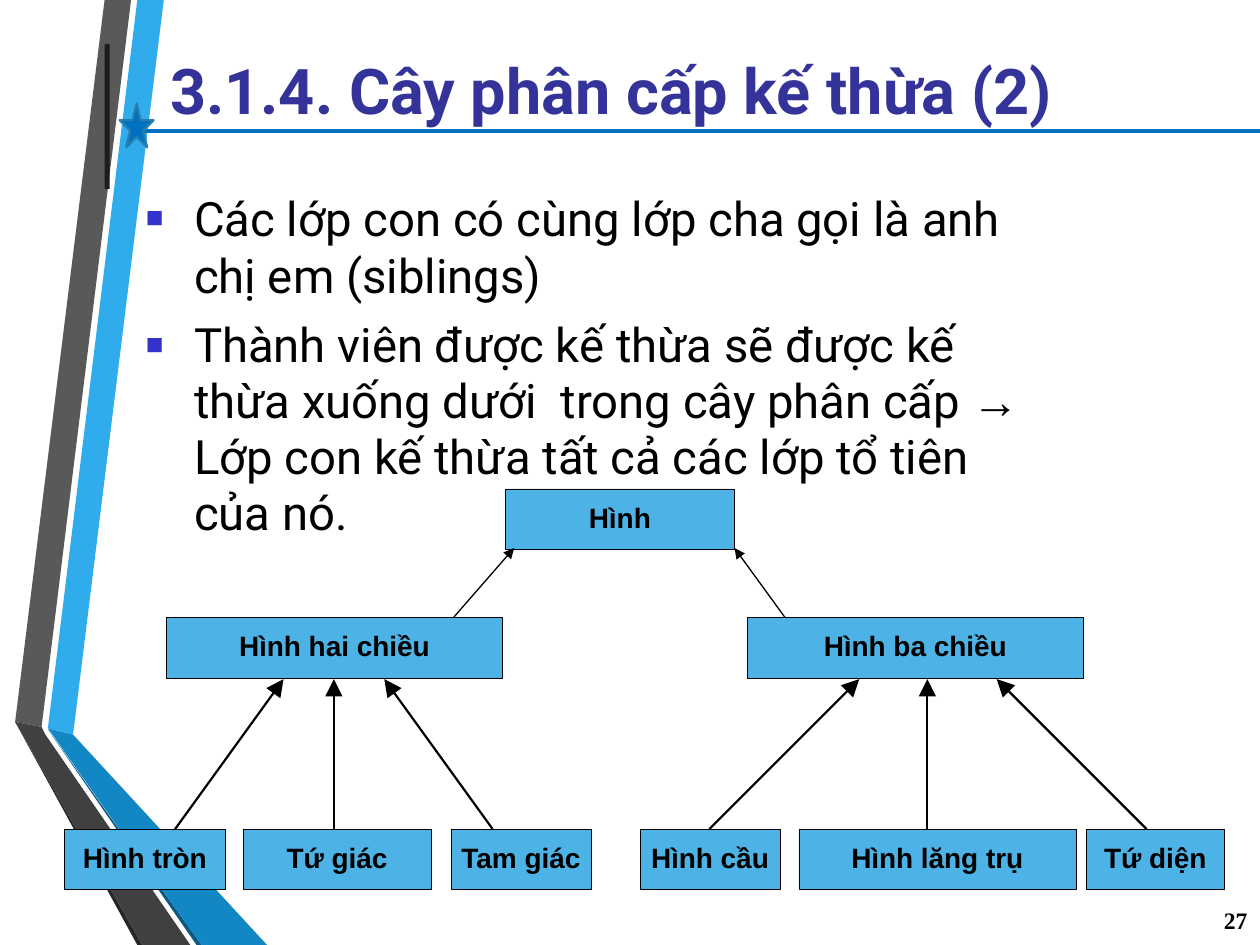
from lxml import etree
from pptx import Presentation
from pptx.dml.color import RGBColor
from pptx.enum.shapes import MSO_CONNECTOR, MSO_SHAPE
from pptx.enum.text import MSO_ANCHOR, PP_ALIGN
from pptx.oxml.ns import qn
from pptx.util import Inches, Pt

COLORS = {
    "blue": "30ACEC", "gray": "595959", "shadow_gray": "262626",
    "shadow_blue": "0C5A82", "dark_blue": "1287C3", "dark_gray": "404040",
    "accent": "0070C0", "star_edge": "247FAF", "bar": "1C1C1C",
    "title": "333399", "bullet": "3333CC", "box": "4DB3E6", "black": "000000",
}


def style_font(font, name, size, color, bold=False):
    font.name, font.size, font.bold = name, Pt(size), bold
    font.color.rgb = RGBColor.from_string(COLORS[color])


def add_line(start, end, color, width):
    line = slide.shapes.add_connector(
        MSO_CONNECTOR.STRAIGHT, *[Inches(value) for value in start + end])
    line.line.color.rgb = RGBColor.from_string(COLORS[color])
    line.line.width = Pt(width)
    etree.SubElement(line._element.spPr, qn("a:effectLst"))
    return line


presentation = Presentation()
presentation.slide_width, presentation.slide_height = Inches(10), Inches(7.5)
slide = presentation.slides.add_slide(presentation.slide_layouts[5])

ribbons = [
    ("blue", [(0.38, 5.78), (0.58, 5.83), (1.3, 0), (1.09, 0)]),
    ("gray", [(1.04, 0), (0.83, 0), (0.12, 5.73), (0.33, 5.77)]),
    ("shadow_gray", [(0.12, 5.73), (1.09, 7.5), (1.13, 7.5)]),
    ("shadow_blue", [(0.38, 5.79), (1.56, 7.5), (1.6, 7.5)]),
    ("dark_blue", [(0.38, 5.78), (1.6, 7.5), (2.12, 7.5), (0.58, 5.83)]),
    ("dark_gray", [(1.51, 7.5), (0.36, 5.83), (0.33, 5.77), (0.12, 5.73), (1.13, 7.5)]),
]
for color, corners in ribbons:
    points = [(Inches(x), Inches(y)) for x, y in corners]
    builder = slide.shapes.build_freeform(*points[0])
    builder.add_line_segments(points[1:], close=True)
    ribbon = builder.convert_to_shape()
    ribbon.shadow.inherit = False
    ribbon.fill.solid()
    ribbon.fill.fore_color.rgb = RGBColor.from_string(COLORS[color])
    ribbon.line.fill.background()

add_line((1.12, 1.04), (10, 1.04), "accent", 1.75)

ornaments = [
    (MSO_SHAPE.STAR_5_POINT, (0.95, 0.82, 0.27, 0.35), "accent", "star_edge"),
    (MSO_SHAPE.RECTANGLE, (0.83, 0.35, 0.04, 1.15), "bar", None),
]
for kind, place, color, edge in ornaments:
    ornament = slide.shapes.add_shape(kind, *[Inches(value) for value in place])
    ornament.shadow.inherit = False
    ornament.fill.solid()
    ornament.fill.fore_color.rgb = RGBColor.from_string(COLORS[color])
    if edge:
        ornament.line.color.rgb = RGBColor.from_string(COLORS[edge])
        ornament.line.width = Pt(1.25)
    else:
        ornament.line.fill.background()

title = slide.shapes.title
title.left, title.top = Inches(1.35), Inches(0.39)
title.width, title.height = Inches(8.7), Inches(0.62)
title.text_frame.text = "3.1.4. Cây phân cấp kế thừa (2)"
title.text_frame.vertical_anchor = MSO_ANCHOR.MIDDLE

number = slide.shapes.add_textbox(Inches(9.35), Inches(7.1), Inches(0.55), Inches(0.4))
number.text_frame.text = "27"
number.text_frame.vertical_anchor = MSO_ANCHOR.MIDDLE

body = slide.shapes.add_textbox(Inches(1.15), Inches(1.49), Inches(8.7), Inches(2.38))
bullets = [
    [("Các lớp con có cùng lớp cha gọi là anh chị em (siblings)", "Roboto")],
    [("Thành viên được kế thừa sẽ được kế thừa xuống dưới  trong cây phân cấp ", "Roboto"),
     ("→ ", "Arial"),
     ("Lớp con kế thừa tất cả các lớp tổ tiên của nó.", "Roboto")],
]

for shape in (title, number, body):
    frame = shape.text_frame
    frame.word_wrap = True
    frame.margin_left = frame.margin_right = frame.margin_bottom = 0
    frame.margin_top = Inches(0.01)

title_paragraph = title.text_frame.paragraphs[0]
title_paragraph.alignment = PP_ALIGN.LEFT
style_font(title_paragraph.runs[0].font, "Roboto", 36, "title", True)
number_paragraph = number.text_frame.paragraphs[0]
number_paragraph.alignment = PP_ALIGN.RIGHT
style_font(number_paragraph.runs[0].font, "Times New Roman", 13.5, "black", True)

for index, pieces in enumerate(bullets):
    paragraph = body.text_frame.add_paragraph() if index else body.text_frame.paragraphs[0]
    properties = paragraph._p.get_or_add_pPr()
    properties.set("marL", str(Inches(0.39)))
    properties.set("indent", str(Inches(-0.38)))
    bullet_color = etree.SubElement(properties, qn("a:buClr"))
    etree.SubElement(bullet_color, qn("a:srgbClr"), val=COLORS["bullet"])
    etree.SubElement(properties, qn("a:buSzPct"), val="59000")
    etree.SubElement(properties, qn("a:buFont"), typeface="Arial")
    etree.SubElement(properties, qn("a:buChar"), char="◼")
    if index:
        paragraph.space_before = Pt(8)
        paragraph.line_spacing = Pt(31.9)
    else:
        properties.set("marR", str(Inches(1.6)))
    for text, font_name in pieces:
        run = paragraph.add_run()
        run.text = text
        style_font(run.font, font_name, 27, "black")

tree_levels = [
    (3.88, [("Hình", 4.01, 1.82)]),
    (4.9, [("Hình hai chiều", 1.32, 2.67), ("Hình ba chiều", 5.93, 2.67)]),
    (6.58, [("Hình tròn", 0.51, 1.28), ("Tứ giác", 1.93, 1.49), ("Tam giác", 3.58, 1.11),
            ("Hình cầu", 5.08, 1.11), ("Hình lăng trụ", 6.34, 2.2), ("Tứ diện", 8.62, 1.1)]),
]
for top, classes in tree_levels:
    for name, left, width in classes:
        box = slide.shapes.add_shape(
            MSO_SHAPE.RECTANGLE, Inches(left), Inches(top), Inches(width), Inches(0.48))
        box.shadow.inherit = False
        box.fill.solid()
        box.fill.fore_color.rgb = RGBColor.from_string(COLORS["box"])
        box.line.color.rgb = RGBColor.from_string(COLORS["black"])
        box.line.width = Pt(0.25)
        frame = box.text_frame
        frame.margin_left = frame.margin_right = frame.margin_bottom = 0
        frame.margin_top = Inches(0.09)
        frame.vertical_anchor = MSO_ANCHOR.TOP
        frame.text = name
        frame.paragraphs[0].alignment = PP_ALIGN.CENTER
        style_font(frame.paragraphs[0].runs[0].font, "Arial", 16, "black", True)

arrow_levels = [
    (4.9, 4.35, 0.75, "med", [(3.6, 4.08), (6.23, 5.83)]),
    (6.58, 5.39, 1.25, "lg", [(1.39, 2.25), (2.65, 2.65), (3.91, 3.05),
                              (5.63, 6.82), (7.36, 7.36), (9.1, 7.91)]),
]
for bottom, top, width, head_size, spans in arrow_levels:
    for child_x, parent_x in spans:
        arrow = add_line((child_x, bottom), (parent_x, top), "black", width)
        etree.SubElement(arrow.line._get_or_add_ln(), qn("a:tailEnd"),
                         type="triangle", w=head_size, len=head_size)

presentation.save("out.pptx")
